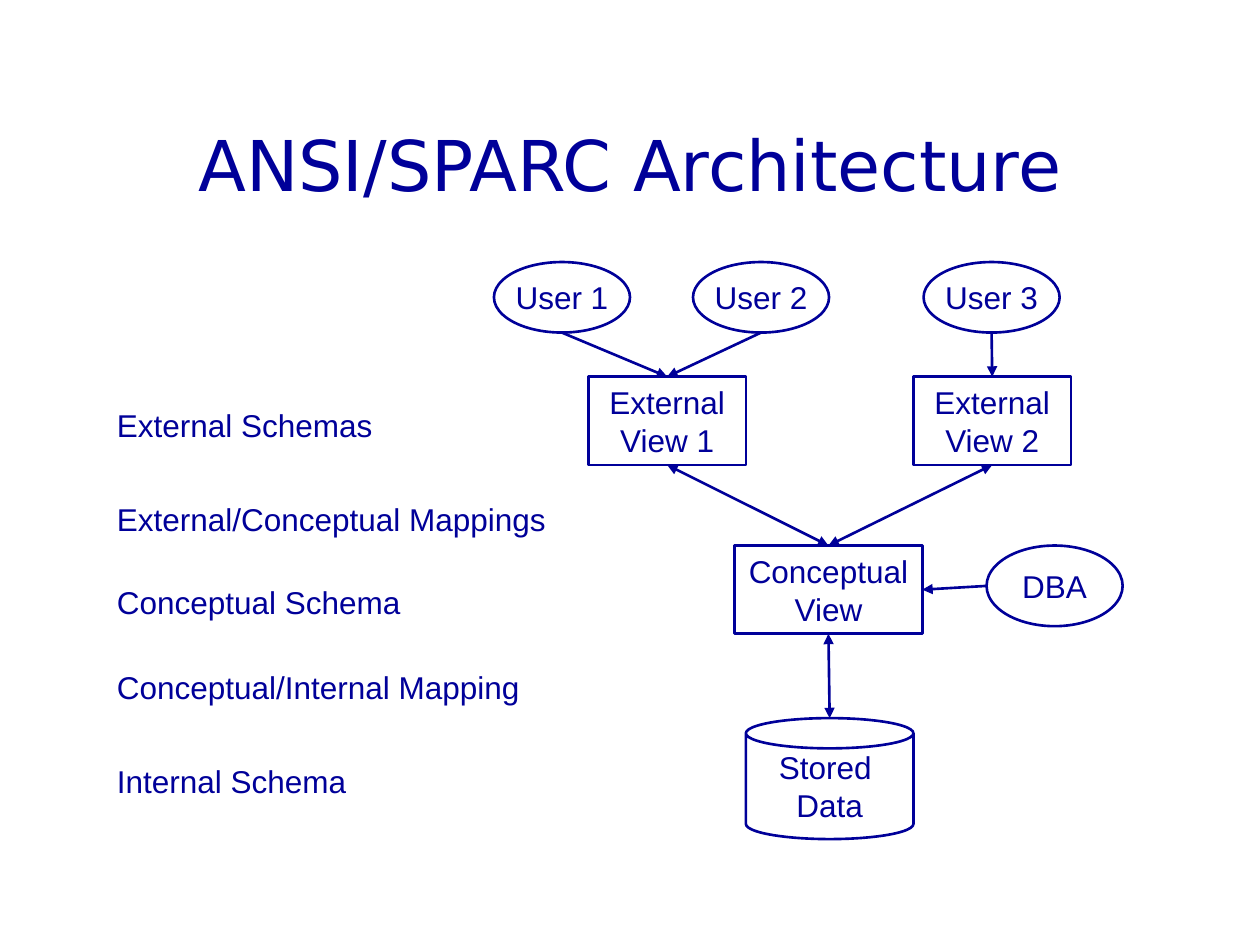
from pptx import Presentation
from pptx.dml.color import RGBColor
from pptx.enum.shapes import MSO_CONNECTOR, MSO_SHAPE
from pptx.enum.text import MSO_ANCHOR, PP_ALIGN
from pptx.oxml.ns import qn
from pptx.util import Inches, Pt
from lxml import etree

NAVY = RGBColor(0x00, 0x00, 0x99)
RECTANGLE, ELLIPSE, CAN = MSO_SHAPE.RECTANGLE, MSO_SHAPE.OVAL, MSO_SHAPE.CAN
STRAIGHT = MSO_CONNECTOR.STRAIGHT
LEFT, CENTER = PP_ALIGN.LEFT, PP_ALIGN.CENTER
TOP, MIDDLE = MSO_ANCHOR.TOP, MSO_ANCHOR.MIDDLE
TOP_SIDE, LEFT_SIDE, BOTTOM_SIDE, RIGHT_SIDE = range(4)
LINE_WIDTH = Pt(1.5)

LABELS = [
    ("External Schemas", 3.17),
    ("External/Conceptual Mappings", 3.92),
    ("Conceptual Schema", 4.58),
    ("Conceptual/Internal Mapping", 5.25),
    ("Internal Schema", 6),
]


def write_text(frame, text, size=18, font="Arial", align=CENTER, anchor=MIDDLE, wrap=False):
    frame.word_wrap = wrap
    frame.vertical_anchor = anchor
    for index, line in enumerate(text.split("\n")):
        para = frame.add_paragraph() if index else frame.paragraphs[0]
        para.alignment = align
        span = para.add_run()
        span.text = line
        span.font.size = Pt(size)
        span.font.name = font
        span.font.color.rgb = NAVY


def add_text(page, text, left, top, width, height, **text_format):
    box = page.shapes.add_textbox(Inches(left), Inches(top), Inches(width), Inches(height))
    write_text(box.text_frame, text, wrap=True, **text_format)


def add_node(page, kind, text, left, top, width, height, **text_format):
    node = page.shapes.add_shape(kind, Inches(left), Inches(top), Inches(width), Inches(height))
    node.shadow.inherit = False
    node.fill.background()
    node.line.color.rgb = NAVY
    node.line.width = LINE_WIDTH
    write_text(node.text_frame, text, **text_format)
    return node


def side_point(node, side):
    middle_x = node.left + node.width // 2
    middle_y = node.top + node.height // 2
    return {
        TOP_SIDE: (middle_x, node.top),
        LEFT_SIDE: (node.left, middle_y),
        BOTTOM_SIDE: (middle_x, node.top + node.height),
        RIGHT_SIDE: (node.left + node.width, middle_y),
    }[side]


def add_arrow(page, start, start_side, end, end_side, both_ends=False):
    arrow = page.shapes.add_connector(
        STRAIGHT, *side_point(start, start_side), *side_point(end, end_side))
    if start.auto_shape_type == RECTANGLE:
        arrow.begin_connect(start, start_side)
    if end.auto_shape_type == RECTANGLE:
        arrow.end_connect(end, end_side)
    arrow.line.color.rgb = NAVY
    arrow.line.width = LINE_WIDTH
    outline = arrow.get_or_add_ln()
    for tag in ("a:headEnd", "a:tailEnd") if both_ends else ("a:tailEnd",):
        etree.SubElement(outline, qn(tag), type="triangle")
    etree.SubElement(outline.getparent(), qn("a:effectLst"))


def main():
    deck = Presentation()
    deck.slide_width, deck.slide_height = Inches(10), Inches(7.5)
    page = deck.slides.add_slide(deck.slide_layouts[6])

    add_text(page, "ANSI/SPARC Architecture", 0.75, 0.67, 8.5, 1.25,
             size=40, font="DejaVu Sans")

    stored_data = add_node(page, CAN, "Stored \nData", 5.92, 5.7, 1.33, 0.96)
    conceptual = add_node(page, RECTANGLE, "Conceptual\nView", 5.83, 4.33, 1.49, 0.7, anchor=TOP)
    external_1, external_2 = [
        add_node(page, RECTANGLE, f"External\nView {number}", left, 2.99, 1.25, 0.7, anchor=TOP)
        for number, left in enumerate((4.67, 7.25), 1)]
    users = [
        add_node(page, ELLIPSE, f"User {number}", left, 2.08, 1.08, 0.56)
        for number, left in enumerate((3.92, 5.5, 7.33), 1)]
    dba = add_node(page, ELLIPSE, "DBA", 7.83, 4.33, 1.08, 0.64)

    for user, view in zip(users, (external_1, external_1, external_2)):
        add_arrow(page, user, BOTTOM_SIDE, view, TOP_SIDE)
    for view in (external_1, external_2):
        add_arrow(page, view, BOTTOM_SIDE, conceptual, TOP_SIDE, both_ends=True)
    add_arrow(page, stored_data, TOP_SIDE, conceptual, BOTTOM_SIDE, both_ends=True)
    add_arrow(page, dba, LEFT_SIDE, conceptual, RIGHT_SIDE)

    for text, top in LABELS:
        add_text(page, text, 0.83, top, 3.7, 0.4, align=LEFT, anchor=TOP)

    deck.save("out.pptx")


if __name__ == "__main__":
    main()
